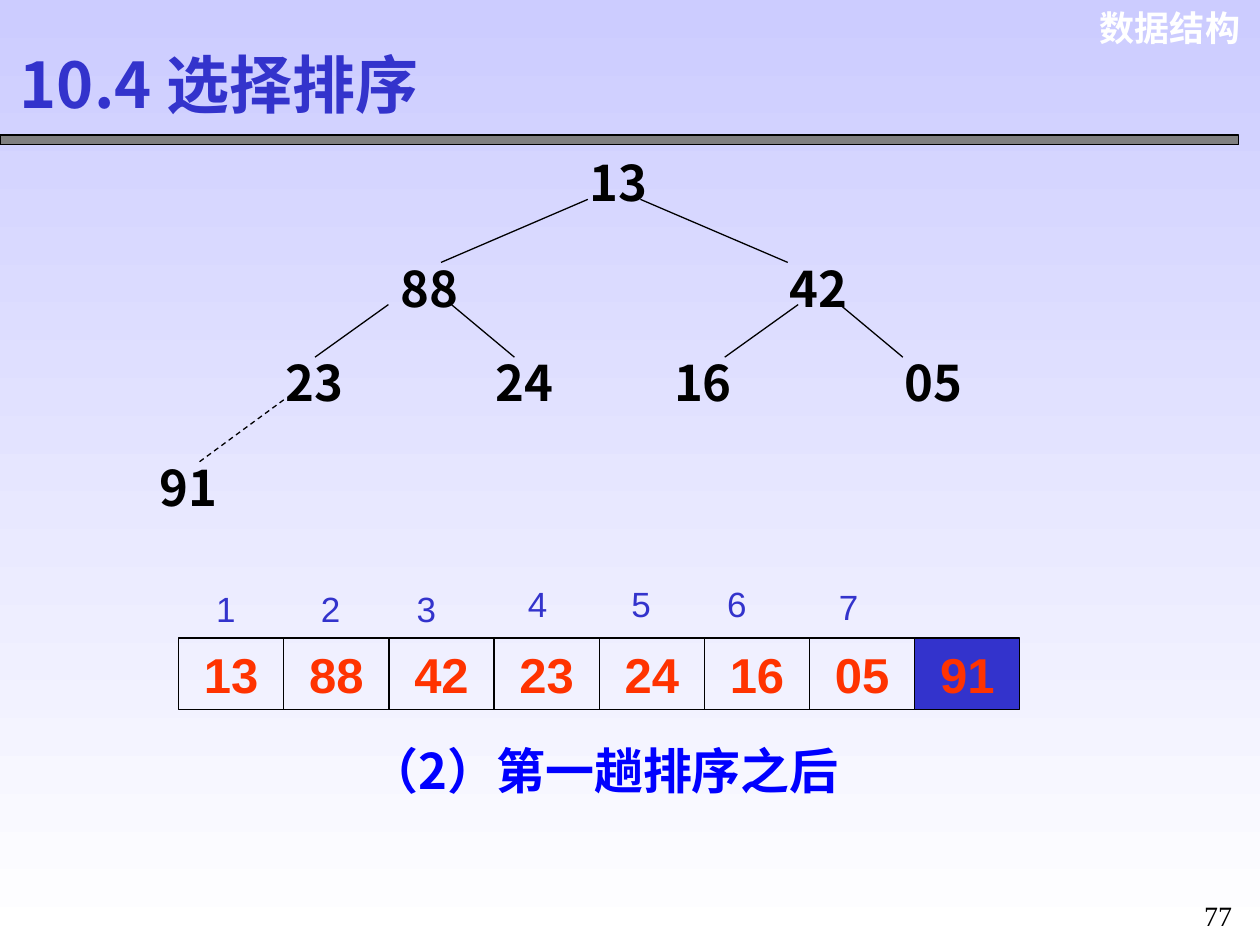
import pptx
import pptx.util
import pptx.dml.color
import pptx.enum.dml
import pptx.enum.shapes
import pptx.enum.text
import pptx.oxml.ns
import lxml.etree

Cm = pptx.util.Cm
Pt = pptx.util.Pt
RGBColor = pptx.dml.color.RGBColor
ALIGN = pptx.enum.text.PP_ALIGN
ANCHOR = pptx.enum.text.MSO_ANCHOR
FIT = pptx.enum.text.MSO_AUTO_SIZE
qn = pptx.oxml.ns.qn

LAVENDER = RGBColor(0xCC, 0xCC, 0xFF)
WHITE = RGBColor(0xFF, 0xFF, 0xFF)
BLACK = RGBColor(0, 0, 0)
GRAY = RGBColor(0x80, 0x80, 0x80)
INDIGO = RGBColor(0x33, 0x33, 0xCC)
BLUE = RGBColor(0, 0, 0xFF)
ORANGE = RGBColor(0xFF, 0x33, 0x00)

SANS, CJK, SERIF = "Arial", "Noto Sans CJK SC", "Times New Roman"

# Tree levels: top of the row, then (left, key) for each node
TREE_LEVELS = [
    (2.96, [(11.64, "13")]),
    (5.08, [(7.83, "88"), (15.66, "42")]),
    (6.99, [(5.5, "23"), (9.74, "24"), (13.34, "16"), (17.99, "05")]),
    (9.1, [(2.96, "91")]),
]
# Branches between levels: top, bottom, dashed, then (upper x, lower x)
BRANCHES = [
    (4.02, 5.29, False, [(11.85, 8.89), (12.91, 15.88)]),
    (6.14, 7.2, False, [(7.83, 6.35), (9.1, 10.37), (16.09, 14.61), (16.93, 18.2)]),
    (8.06, 9.31, True, [(5.72, 4.02)]),
]
KEYS = ["13", "88", "42", "23", "24", "16", "05", "91"]
INDEX_PLACES = [(4.11, 11.71), (6.22, 11.71), (8.15, 11.71), (10.39, 11.61),
                (12.48, 11.61), (14.41, 11.61), (16.66, 11.68)]


def write(shape, text, size, color, font=CJK, bold=True, align=ALIGN.LEFT,
          wrap=True, fit=FIT.SHAPE_TO_FIT_TEXT, anchor=ANCHOR.TOP):
    frame = shape.text_frame
    frame.text = text
    frame.word_wrap = wrap
    frame.auto_size = fit
    frame.vertical_anchor = anchor
    para = frame.paragraphs[0]
    para.alignment = align
    span = para.runs[0]
    span.font.size = Pt(size)
    span.font.bold = bold
    span.font.color.rgb = color
    span.font.name = font
    east_asian = lxml.etree.SubElement(span.font._element, qn("a:ea"))
    east_asian.set("typeface", CJK)
    return para


def add_label(page, left, top, width, height, text, size, color, **style):
    box = page.shapes.add_textbox(Cm(left), Cm(top), Cm(width), Cm(height))
    return write(box, text, size, color, **style)


def add_box(page, left, top, width, height, fill=None):
    box = page.shapes.add_shape(pptx.enum.shapes.MSO_SHAPE.RECTANGLE,
                                Cm(left), Cm(top), Cm(width), Cm(height))
    box.shadow.inherit = False
    if fill is None:
        box.fill.background()
    else:
        box.fill.solid()
        box.fill.fore_color.rgb = fill
    box.line.color.rgb = BLACK
    box.line.width = Pt(0.75)
    return box


def add_branch(page, x1, y1, x2, y2, dashed):
    branch = page.shapes.add_connector(pptx.enum.shapes.MSO_CONNECTOR.STRAIGHT,
                                       Cm(x1), Cm(y1), Cm(x2), Cm(y2))
    branch.line.color.rgb = BLACK
    branch.line.width = Pt(0.75)
    if dashed:
        branch.line.dash_style = pptx.enum.dml.MSO_LINE.DASH
    lxml.etree.SubElement(branch._element.spPr, qn("a:effectLst"))


def paint_background(page):
    fill = page.background.fill
    fill.gradient()
    fill.gradient_angle = 270
    for stop, color in zip(fill.gradient_stops, (LAVENDER, WHITE)):
        stop.color.rgb = color


def add_tree(page):
    for top, nodes in TREE_LEVELS:
        for left, key in nodes:
            add_label(page, left, top, 1.69, 1.44, key, 28, BLACK)
    for top, bottom, dashed, ends in BRANCHES:
        for upper, lower in ends:
            add_branch(page, upper, top, lower, bottom, dashed)


def add_array(page):
    width = 2.12
    for i, key in enumerate(KEYS):
        is_sorted = i == len(KEYS) - 1
        cell = add_box(page, 3.6 + i * width, 12.86, width, 1.44,
                       INDIGO if is_sorted else None)
        write(cell, key, 28, ORANGE, font=SANS, align=ALIGN.CENTER)
    for number, (left, top) in enumerate(INDEX_PLACES, 1):
        add_label(page, left, top, 0.89, 1.12, str(number), 20, INDIGO,
                  font=SANS, bold=False, wrap=False)


def main():
    deck = pptx.Presentation()
    deck.slide_width, deck.slide_height = Cm(25.4), Cm(19.05)
    page = deck.slides.add_slide(deck.slide_layouts[6])
    paint_background(page)

    # Header
    add_label(page, 21.77, 0, 3.48, 1.12, "数据结构", 20, WHITE,
              font=SANS, align=ALIGN.RIGHT)
    add_box(page, 0, 2.72, 24.97, 0.2, GRAY)
    add_label(page, 0.15, 0.74, 9.45, 1.9, "10.4 选择排序", 36, INDIGO,
              fit=FIT.NONE, anchor=ANCHOR.MIDDLE)

    # Heap and its array
    add_tree(page)
    add_array(page)

    # Caption and page number
    add_label(page, 4.88, 14.81, 14.6, 1.44, "（2）第一趟排序之后", 28, BLUE,
              align=ALIGN.CENTER)
    para = add_label(page, 23.92, 17.78, 1.27, 1.14, "77", 16, BLACK,
                     font=SERIF, bold=False, align=ALIGN.CENTER)
    para.line_spacing = 1.3

    deck.save("out.pptx")


if __name__ == "__main__":
    main()
